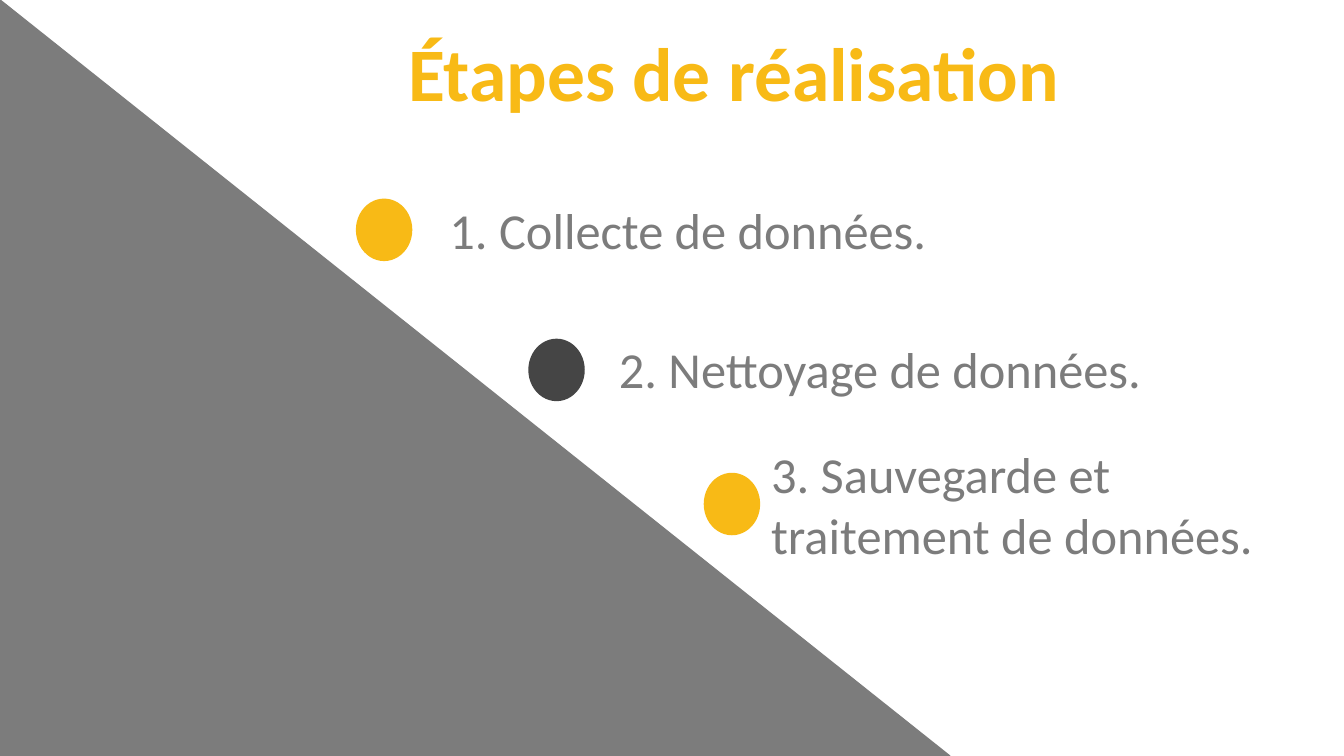
"""Build the slide that lists the three project steps beside a grey triangle."""
from pptx import Presentation
from pptx.dml.color import RGBColor
from pptx.enum.shapes import MSO_SHAPE as SHAPE
from pptx.enum.text import MSO_ANCHOR as ANCHOR, MSO_AUTO_SIZE as AUTO, PP_ALIGN as ALIGN
from pptx.util import Emu, Pt

PX = 9144
GREY = RGBColor(0x7C, 0x7C, 0x7C)
DARK = RGBColor(0x45, 0x45, 0x45)
YELLOW = RGBColor(0xF8, 0xBA, 0x16)

TITLE_FONT = {"name": "Calibri", "size": Pt(54), "bold": True}
STEP_FONT = {"name": "Calibri", "size": Pt(36), "bold": False}
DOT_SIZE = (56, 62)

STEPS = [
    ("1. Collecte de données.", (436, 193, 560, 71), ALIGN.JUSTIFY, (353, 197), YELLOW),
    ("2. Nettoyage de données.", (604, 331, 560, 71), ALIGN.JUSTIFY, (524, 336), DARK),
    ("3. Sauvegarde et traitement de données.", (755, 435, 566, 131), ALIGN.LEFT,
     (698, 469), YELLOW),
]


def px(*lengths):
    """Turn px lengths into EMU."""
    return [Emu(n * PX) for n in lengths]


def add_solid(s, kind, box, color, outlined=False):
    """Add a preset shape in one colour, with or without a line."""
    sp = s.shapes.add_shape(kind, *px(*box))
    sp.shadow.inherit = False
    sp.fill.solid()
    sp.fill.fore_color.rgb = color
    if outlined:
        sp.line.color.rgb = color
        sp.line.width = Pt(1)
    else:
        sp.line.fill.background()


def add_text(s, text, box, font, color, align=ALIGN.LEFT, anchor=ANCHOR.TOP):
    """Add a wrapping text box holding one formatted run."""
    tf = s.shapes.add_textbox(*px(*box)).text_frame
    frame = {"word_wrap": True, "auto_size": AUTO.SHAPE_TO_FIT_TEXT,
             "vertical_anchor": anchor}
    for name, value in frame.items():
        setattr(tf, name, value)
    p = tf.paragraphs[0]
    p.alignment = align
    r = p.add_run()
    r.text = text
    for name, value in font.items():
        setattr(r.font, name, value)
    r.font.color.rgb = color


def main():
    """Draw the slide and save it."""
    prs = Presentation()
    prs.slide_width, prs.slide_height = px(1333, 750)
    s = prs.slides.add_slide(prs.slide_layouts[6])
    add_solid(s, SHAPE.RIGHT_TRIANGLE, (0, 0, 942, 750), GREY, outlined=True)
    add_text(s, "Étapes de réalisation", (395, 20, 946, 101), TITLE_FONT, YELLOW,
             anchor=ANCHOR.MIDDLE)
    for text, box, align, dot, color in STEPS:
        add_solid(s, SHAPE.OVAL, dot + DOT_SIZE, color)
        add_text(s, text, box, STEP_FONT, GREY, align)
    prs.save("out.pptx")


if __name__ == "__main__":
    main()
